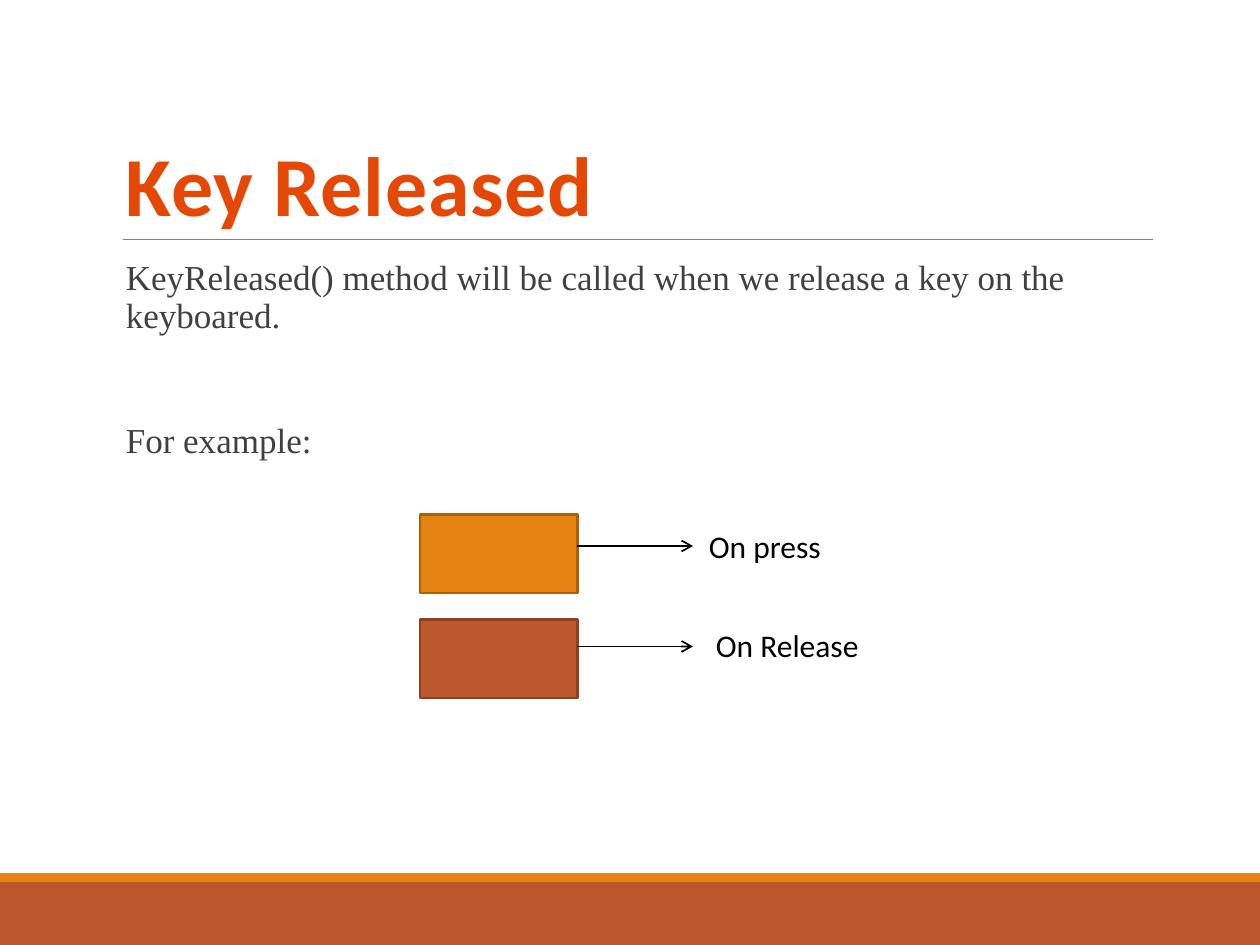
import dataclasses

import pptx
import pptx.dml.color
import pptx.enum.shapes
import pptx.enum.text
import pptx.oxml.ns
import pptx.util
from lxml import etree

Pt = pptx.util.Pt


@dataclasses.dataclass(frozen=True)
class Theme:
    heading_font: str = "Calibri"
    body_font: str = "Times New Roman"
    title_size: int = 48
    body_size: int = 20
    label_size: int = 18
    title: str = "E54804"
    body: str = "404040"
    black: str = "000000"
    rule: str = "808080"
    orange: str = "E48312"
    orange_edge: str = "A9610D"
    rust: str = "BD582C"
    rust_edge: str = "8C4121"


def rgb(color):
    return pptx.dml.color.RGBColor.from_string(color)


class SlideBuilder:
    """Draw styled elements on the current slide, with lengths in points."""

    def __init__(self, slide, theme):
        self.slide = slide
        self.theme = theme

    def box(self, left, top, width, height, fill, edge=None):
        rectangle = self.slide.shapes.add_shape(
            pptx.enum.shapes.MSO_SHAPE.RECTANGLE,
            Pt(left), Pt(top), Pt(width), Pt(height))
        rectangle.shadow.inherit = False
        rectangle.fill.solid()
        rectangle.fill.fore_color.rgb = rgb(fill)
        if edge:
            rectangle.line.color.rgb = rgb(edge)
            rectangle.line.width = Pt(1.25)
        else:
            rectangle.line.fill.background()

    def line(self, start, end, y, color, width, arrow=False):
        connector = self.slide.shapes.add_connector(
            pptx.enum.shapes.MSO_CONNECTOR.STRAIGHT,
            Pt(start), Pt(y), Pt(end), Pt(y))
        connector.line.color.rgb = rgb(color)
        connector.line.width = Pt(width)
        qn = pptx.oxml.ns.qn
        if arrow:
            outline = connector.line._get_or_add_ln()
            etree.SubElement(outline, qn("a:tailEnd"), type="arrow")
        etree.SubElement(connector._element.spPr, qn("a:effectLst"))

    def text(self, left, top, width, height, paragraphs, font, size, color,
             bold=False, tracking=0, line_spacing=None, space_after=0,
             anchor=pptx.enum.text.MSO_ANCHOR.TOP):
        frame = self.slide.shapes.add_textbox(
            Pt(left), Pt(top), Pt(width), Pt(height)).text_frame
        frame.word_wrap = True
        frame.vertical_anchor = anchor
        frame.text = "\n".join(words for words, _ in paragraphs)
        for paragraph, (_, space_before) in zip(frame.paragraphs, paragraphs):
            paragraph.line_spacing = line_spacing
            paragraph.space_before = Pt(space_before)
            paragraph.space_after = Pt(space_after)
            for run in paragraph.runs:
                run.font.name = font
                run.font.size = Pt(size)
                run.font.bold = bold
                run.font.color.rgb = rgb(color)
                if tracking:
                    run.font._element.set("spc", str(int(tracking * 100)))

    def key_event(self, top, fill, edge, arrow_y, label, label_left, label_top, label_width):
        theme = self.theme
        self.box(240, top, 90, 45, fill, edge)
        self.line(330, 396, arrow_y, theme.black, 1, arrow=True)
        self.text(label_left, label_top, label_width, 29, [(label, 0)],
                  theme.heading_font, theme.label_size, theme.black)


def main():
    deck = pptx.Presentation()
    deck.slide_width, deck.slide_height = Pt(720), Pt(540)
    theme = Theme()
    builder = SlideBuilder(deck.slides.add_slide(deck.slide_layouts[6]), theme)

    builder.box(0, 504, 720, 36, theme.rust)
    builder.box(0, 499, 720, 5, theme.orange)
    builder.line(70.5, 659, 136.8, theme.rule, 0.5)
    builder.text(64.8, 22.3, 594, 114.5, [("Key Released", 0)],
                 theme.heading_font, theme.title_size, theme.title,
                 bold=True, tracking=0.5, line_spacing=0.85,
                 anchor=pptx.enum.text.MSO_ANCHOR.BOTTOM)
    explanation = [
        ("KeyReleased() method will be called when we release a key on the keyboared.", 12),
        ("For example:", 47.7),
    ]
    builder.text(64.8, 145.4, 594, 316.8, explanation,
                 theme.body_font, theme.body_size, theme.body,
                 line_spacing=0.9, space_after=2)
    builder.key_event(294, theme.orange, theme.orange_edge, 312,
                      "On press", 398, 297.5, 90)
    builder.key_event(354, theme.rust, theme.rust_edge, 369.4,
                      "On Release", 402, 354, 108)
    deck.save("out.pptx")


if __name__ == "__main__":
    main()
